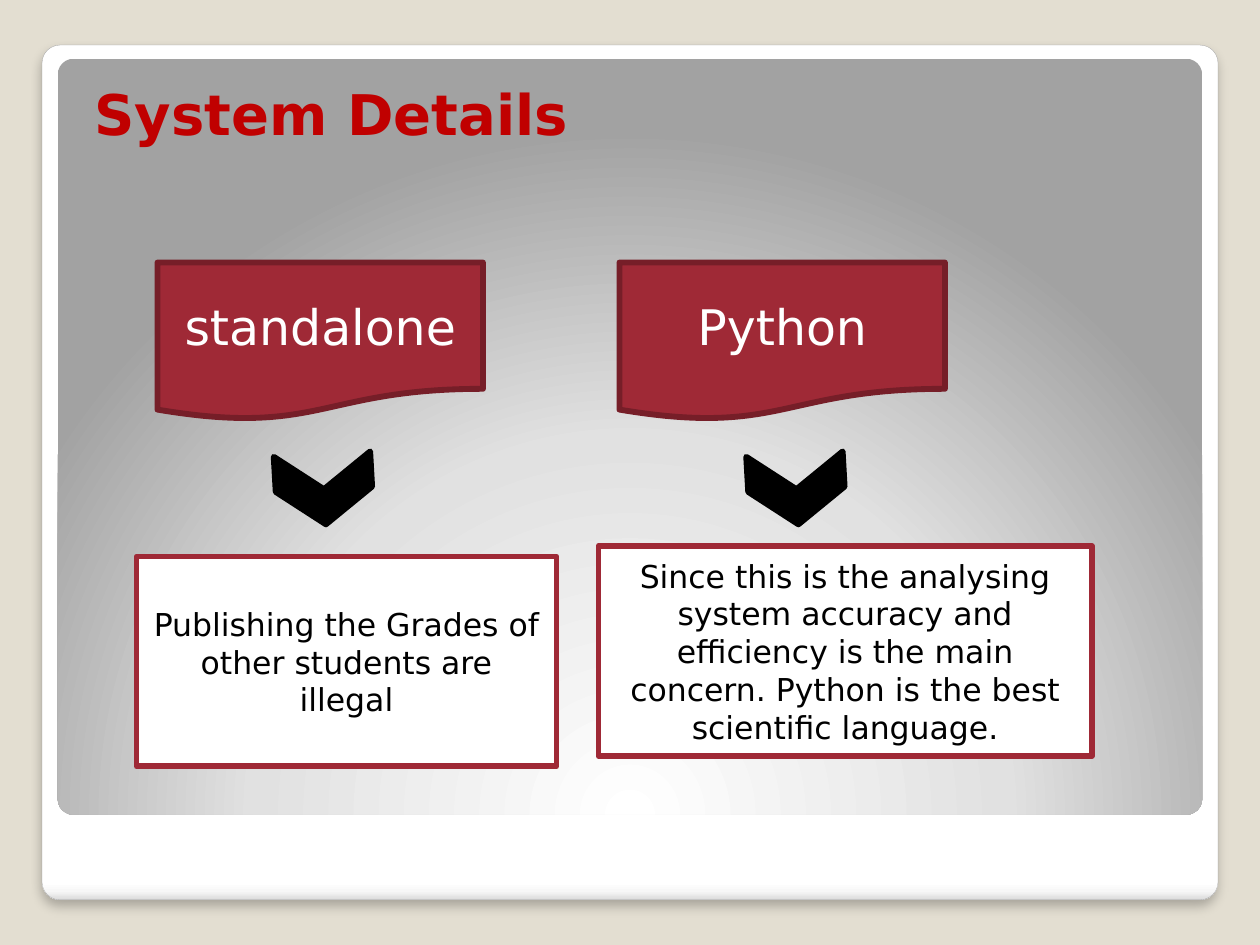
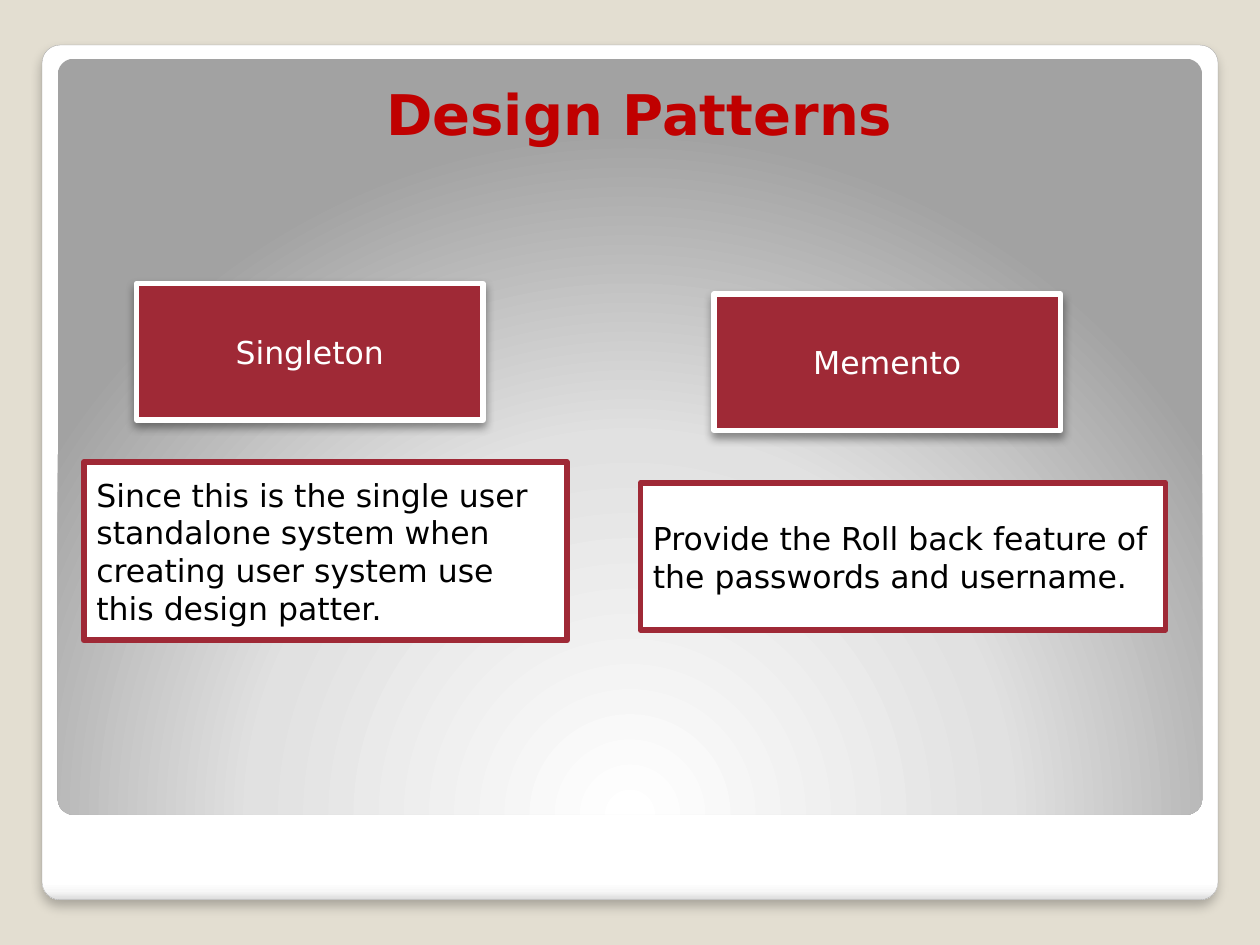
"""Build two slides on system details and design patterns."""
from pptx import Presentation, oxml
from pptx import util as u
from pptx.dml.color import RGBColor
from pptx.enum import shapes, text
from pptx.oxml import ns

PX = u.Inches(1) // 120
FONT = "DejaVu Sans"
SAND = RGBColor(0xE3, 0xDE, 0xD1)
EDGE = RGBColor(0xA4, 0xA4, 0xA4)
RED = RGBColor(0xC0, 0x00, 0x00)
WINE = RGBColor(0x9F, 0x29, 0x36)
DARK_WINE = RGBColor(0x76, 0x1E, 0x28)
WHITE = RGBColor(0xFF, 0xFF, 0xFF)
BLACK = RGBColor(0x00, 0x00, 0x00)

KIND = shapes.MSO_SHAPE
ALIGN = text.PP_ALIGN
TITLE_BOX = (66, 70, 1074, 701)
FRAME_STOPS = [(0, "FFFFFF"), (98, "FFFFFF"), (99, "F7F7F7"), (100, "DADADA")]
PANEL_STOPS = [(0, "FFFFFF"), (55, "E1E1E1"), (100, "A2A2A2")]
DOWNWARD = '<a:lin ang="5400000" scaled="0"/>'
FROM_BELOW = ('<a:path path="circle"><a:fillToRect l="50000" t="175000" '
              'r="50000" b="-75000"/></a:path>')

STYLES = {
    "banner": dict(kind=KIND.FLOWCHART_DOCUMENT, fill=WINE, line=DARK_WINE,
                   width=3.35, size=28, color=WHITE),
    "pattern": dict(kind=KIND.RECTANGLE, fill=WINE, line=WHITE,
                    width=3, size=18, color=WHITE, shadow=(40, 5.2, 3)),
    "reason": dict(kind=KIND.RECTANGLE, fill=WHITE, line=WINE,
                   width=3.35, size=18, color=BLACK),
    "note": dict(kind=KIND.RECTANGLE, fill=WHITE, line=WINE,
                 width=3.35, size=18, color=BLACK, align=ALIGN.LEFT),
    "arrow": dict(kind=KIND.CHEVRON, fill=BLACK, line=BLACK,
                  width=3.35, rotation=86.8),
}

SLIDES = [
    ("System Details", ALIGN.LEFT, [
        ("banner", (150, 250, 310, 150), "standalone"),
        ("banner", (590, 250, 310, 150), "Python"),
        ("reason", (130, 530, 400, 200),
         "Publishing the Grades of other students are illegal"),
        ("reason", (570, 520, 470, 200),
         "Since this is the analysing system accuracy and efficiency is the "
         "main concern. Python is the best scientific language."),
        ("arrow", (275, 420, 67, 92), ""),
        ("arrow", (725, 420, 67, 92), ""),
    ]),
    ("Design Patterns", ALIGN.CENTER, [
        ("pattern", (130, 270, 330, 130), "Singleton"),
        ("note", (80, 440, 460, 170),
         "Since this is the single user standalone system when creating user "
         "system use this design patter."),
        ("pattern", (680, 280, 330, 130), "Memento"),
        ("note", (610, 460, 500, 140),
         "Provide the Roll back feature of the passwords and username."),
    ]),
]


def place(box):
    return [length * PX for length in box]


def add_shadow(shape, opacity, blur, distance):
    effects = shape.element.spPr.find(ns.qn("a:effectLst"))
    effects.append(oxml.parse_xml(
        f'<a:outerShdw {ns.nsdecls("a")} blurRad="{u.Pt(blur)}" '
        f'dist="{u.Pt(distance)}" dir="5400000" algn="t" rotWithShape="0">'
        f'<a:srgbClr val="000000"><a:alpha val="{opacity * 1000}"/></a:srgbClr>'
        '</a:outerShdw>'))


def set_gradient(shape, stops, direction):
    shape.fill.background()
    plain = shape.element.spPr.find(ns.qn("a:noFill"))
    marks = "".join(f'<a:gs pos="{position * 1000}"><a:srgbClr val="{color}"/></a:gs>'
                    for position, color in stops)
    plain.getparent().replace(plain, oxml.parse_xml(
        f'<a:gradFill {ns.nsdecls("a")} rotWithShape="1">'
        f'<a:gsLst>{marks}</a:gsLst>{direction}</a:gradFill>'))


def write(frame, words, size, color, align, bold=False):
    frame.word_wrap = True
    frame.text = words
    para = frame.paragraphs[0]
    para.alignment = align
    para.font.name = FONT
    para.font.size = u.Pt(size)
    para.font.bold = bold
    para.font.color.rgb = color
    return para


def add_panel(page, box, stops, direction):
    panel = page.shapes.add_shape(KIND.ROUNDED_RECTANGLE, *place(box))
    panel.adjustments[0] = 0.021
    panel.shadow.inherit = False
    set_gradient(panel, stops, direction)
    panel.line.fill.background()
    return panel


def style_master(deck, page):
    """Set the background and move the two panels behind every slide."""
    master = deck.slide_master
    master.background.fill.solid()
    master.background.fill.fore_color.rgb = SAND
    frame = add_panel(page, (40, 43, 1120, 814), FRAME_STOPS, DOWNWARD)
    frame.line.color.rgb = EDGE
    frame.line.width = u.Pt(0.16)
    add_shadow(frame, 25, 6, 4)
    panel = add_panel(page, (55, 56, 1090, 720), PANEL_STOPS, FROM_BELOW)
    for index, shape in enumerate((frame, panel)):
        shape.element.nvSpPr.cNvPr.id = 101 + index
        master.shapes.element.insert(2 + index, shape.element)


def add_title(page, words, align):
    title = page.shapes.title
    title.left, title.top, title.width, title.height = place(TITLE_BOX)
    frame = title.text_frame
    frame.auto_size = text.MSO_AUTO_SIZE.NONE
    frame.vertical_anchor = text.MSO_ANCHOR.TOP
    frame.margin_left = u.Inches(0.2)
    para = write(frame, words, 32, RED, align, bold=True)
    para.space_before = u.Pt(2.5)


def add_box(page, style, box, words):
    shape = page.shapes.add_shape(style["kind"], *place(box))
    shape.rotation = style.get("rotation", 0)
    shape.shadow.inherit = False
    shape.fill.solid()
    shape.fill.fore_color.rgb = style["fill"]
    shape.line.color.rgb = style["line"]
    shape.line.width = u.Pt(style["width"])
    if "shadow" in style:
        add_shadow(shape, *style["shadow"])
    if words:
        shape.text_frame.vertical_anchor = text.MSO_ANCHOR.MIDDLE
        write(shape.text_frame, words, style["size"], style["color"],
              style.get("align", ALIGN.CENTER))


def main():
    deck = Presentation()
    deck.slide_width, deck.slide_height = place((1200, 900))
    layout = deck.slide_layouts.get_by_name("Title Only")
    for number, (title, align, boxes) in enumerate(SLIDES):
        page = deck.slides.add_slide(layout)
        if number == 0:
            style_master(deck, page)
        add_title(page, title, align)
        for name, box, words in boxes:
            add_box(page, STYLES[name], box, words)
    deck.save("out.pptx")


if __name__ == "__main__":
    main()
